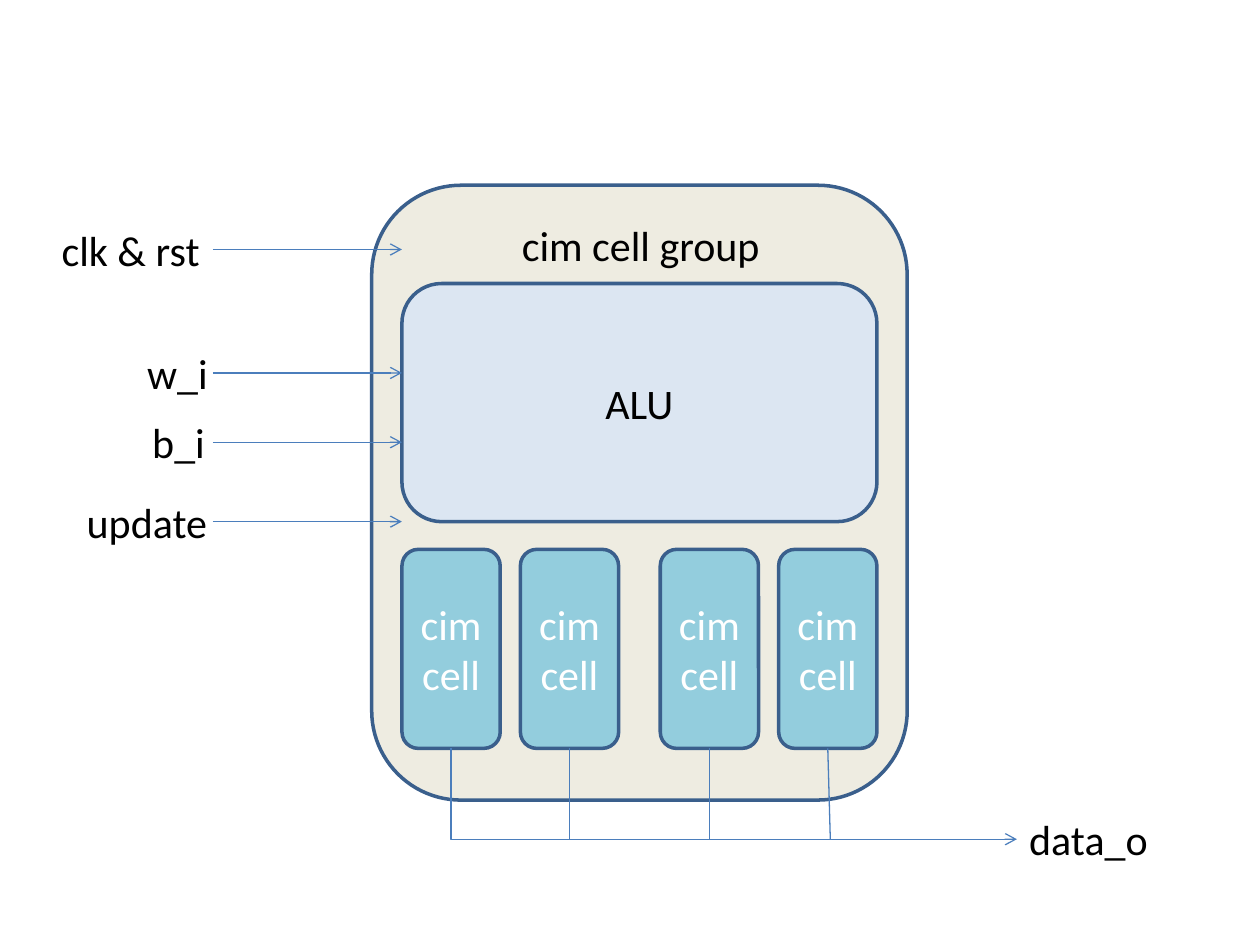
from dataclasses import dataclass
from lxml import etree
from pptx import Presentation
from pptx.dml.color import RGBColor
from pptx.enum.shapes import MSO_CONNECTOR, MSO_SHAPE
from pptx.enum.text import MSO_ANCHOR, MSO_AUTO_SIZE, PP_ALIGN
from pptx.oxml.ns import qn
from pptx.util import Inches, Pt


@dataclass(frozen=True)
class Theme:
    """Colours, type and line widths of the diagram."""
    font: str = "Calibri"
    size: float = 24
    text: str = "000000"
    cell_text: str = "FFFFFF"
    group: str = "EEECE1"
    alu: str = "DCE6F2"
    cell: str = "93CDDD"
    border: str = "3A5F8C"
    border_width: float = 2
    wire: str = "4B7EBC"
    wire_width: float = 0.75


THEME = Theme()


def rgb(code):
    """Turn a hex code into a colour."""
    return RGBColor.from_string(code)


def write(tf, lines, color, align):
    """Write each line as a paragraph with one run."""
    for i, line in enumerate(lines):
        p = tf.paragraphs[0] if i == 0 else tf.add_paragraph()
        p.alignment = align
        r = p.add_run()
        r.text = line
        r.font.name = THEME.font
        r.font.size = Pt(THEME.size)
        r.font.color.rgb = rgb(color)


def add_block(slide, box, fill, lines=(), color=THEME.text):
    """Add a rounded block with centred text."""
    sp = slide.shapes.add_shape(MSO_SHAPE.ROUNDED_RECTANGLE, *map(Inches, box))
    sp.shadow.inherit = False
    sp.fill.solid()
    sp.fill.fore_color.rgb = rgb(fill)
    sp.line.color.rgb = rgb(THEME.border)
    sp.line.width = Pt(THEME.border_width)
    tf = sp.text_frame
    tf.vertical_anchor = MSO_ANCHOR.MIDDLE
    write(tf, lines, color, PP_ALIGN.CENTER)


def add_label(slide, text, x, y, w, centred=False):
    """Add a one-line label."""
    sp = slide.shapes.add_textbox(*map(Inches, (x, y, w, 0.5)))
    tf = sp.text_frame
    tf.word_wrap = centred
    tf.auto_size = MSO_AUTO_SIZE.SHAPE_TO_FIT_TEXT
    write(tf, [text], THEME.text, PP_ALIGN.CENTER if centred else PP_ALIGN.LEFT)


def add_wire(slide, start, end, arrow=False, kind=MSO_CONNECTOR.STRAIGHT):
    """Add a thin wire, with an open arrowhead if asked."""
    cx = slide.shapes.add_connector(kind, *map(Inches, (*start, *end)))
    cx.line.color.rgb = rgb(THEME.wire)
    cx.line.width = Pt(THEME.wire_width)
    if arrow:
        etree.SubElement(cx.line._get_or_add_ln(), qn("a:tailEnd"), type="arrow")
    etree.SubElement(cx._element.spPr, qn("a:effectLst"))
    return cx


def add_corner_wire(slide, start, end):
    """Add an arrow that runs down from start, then right to end."""
    (x1, y1), (x2, y2) = start, end
    mx, my = (x1 + x2) / 2, (y1 + y2) / 2
    dx, dy = (y2 - y1) / 2, (x2 - x1) / 2
    cx = add_wire(slide, (mx + dx, my - dy), (mx - dx, my + dy), True, MSO_CONNECTOR.ELBOW)
    cx._element.spPr.find(qn("a:prstGeom")).set("prst", "bentConnector2")
    cx._element.spPr.find(qn("a:xfrm")).set("rot", str(270 * 60000))


def add_cells(slide, x, y, bus_y, out_x):
    """Add two pairs of cells and the wires that join them to the output bus."""
    w, h, pitch, pair_pitch = 0.78, 1.58, 0.94, 2.05
    lefts = [x + pair * pair_pitch + i * pitch for pair in range(2) for i in range(2)]
    for left in lefts:
        add_block(slide, (left, y, w, h), THEME.cell, ("cim", "cell"), THEME.cell_text)
    first, *others = [left + w / 2 for left in lefts]
    add_corner_wire(slide, (first, y + h), (out_x, bus_y))
    for mid in others:
        shift = 0.02 if mid == others[-1] else 0
        add_wire(slide, (mid, y + h), (mid + shift, bus_y))


def add_inputs(slide, x, y, end_x):
    """Add the input labels and their arrows."""
    inputs = [
        ("clk & rst", 0.39, 0.51, 1.31),
        ("w_i", 1.07, 1.49, 0.69),
        ("b_i", 1.11, 2.04, 0.62),
        ("update", 0.59, 2.67, 1.17),
    ]
    for text, label_x, dy, w in inputs:
        add_wire(slide, (x, y + dy), (end_x, y + dy), True)
        add_label(slide, text, label_x, y + dy - 0.25, w)


def add_cell_group(slide, x, y, w, h):
    """Add the cell group with its unit, cells, inputs and output."""
    pad, bus_y, out_x = 0.24, y + h + 0.31, x + w + 0.87
    add_block(slide, (x, y, w, h), THEME.group)
    add_block(slide, (x + pad, y + 0.78, w - 2 * pad, 1.89), THEME.alu, ["ALU"])
    add_label(slide, "cim cell group", x + 0.64, y + 0.22, 2.99, True)
    add_cells(slide, x + pad, y + 2.89, bus_y, out_x)
    add_inputs(slide, x - 1.26, y, x + pad)
    add_label(slide, "data_o", out_x, bus_y - 0.25, 1.15)


def main():
    """Build and save the slide."""
    prs = Presentation()
    prs.slide_width, prs.slide_height = Inches(10), Inches(7.5)
    slide = prs.slides.add_slide(prs.slide_layouts[6])
    add_cell_group(slide, 2.95, 1.47, 4.25, 4.88)
    prs.save("out.pptx")


main()
